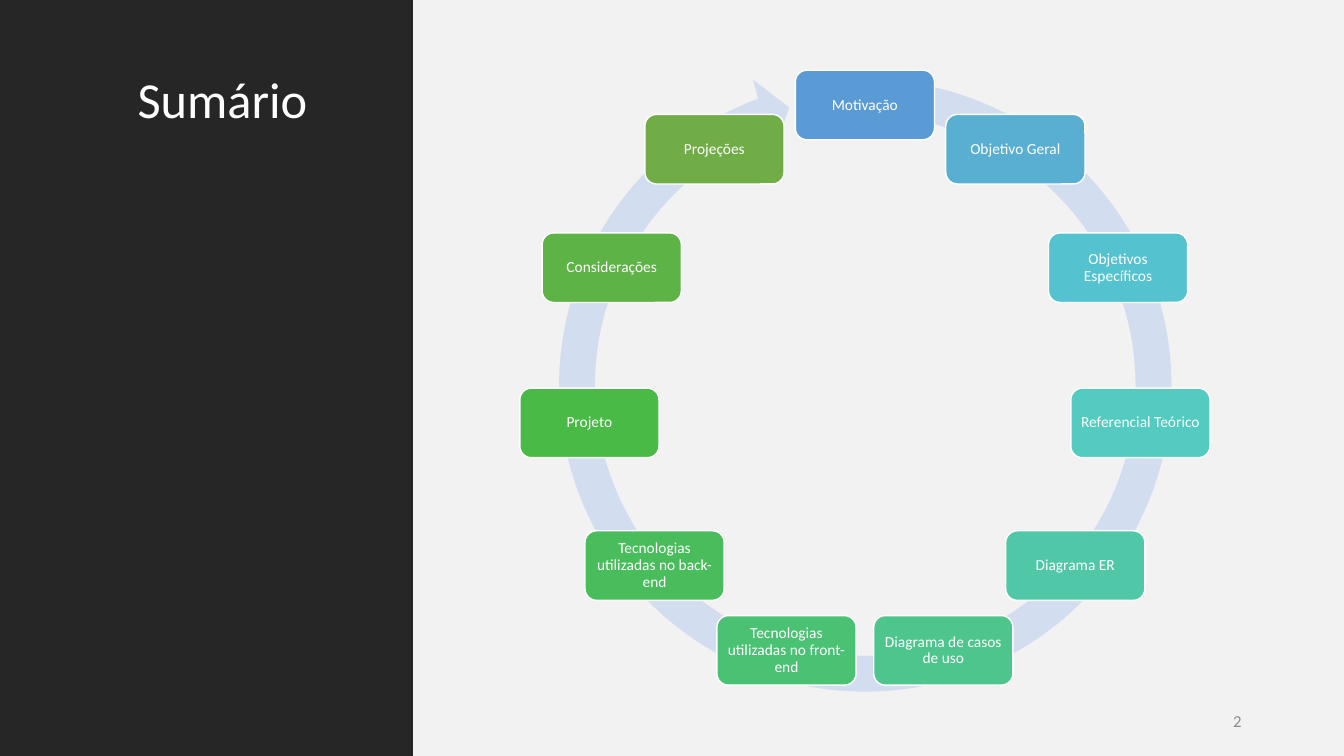
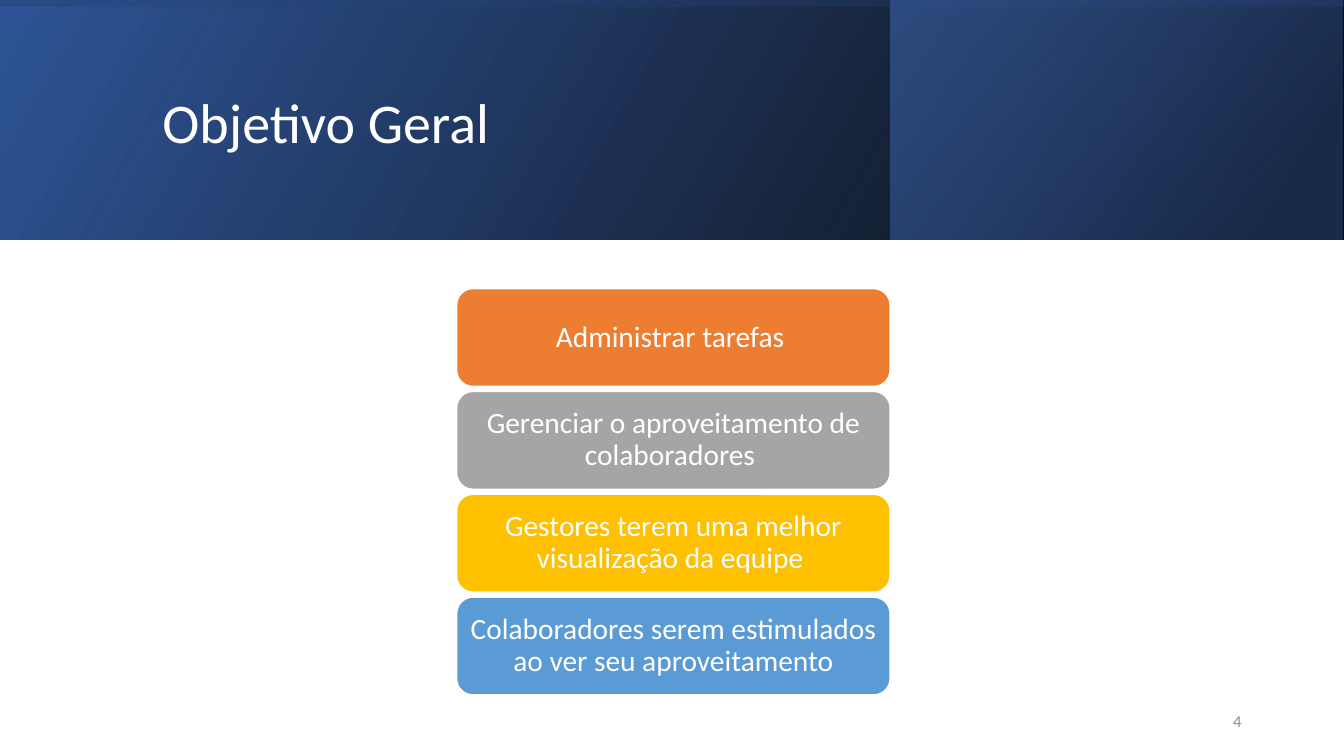
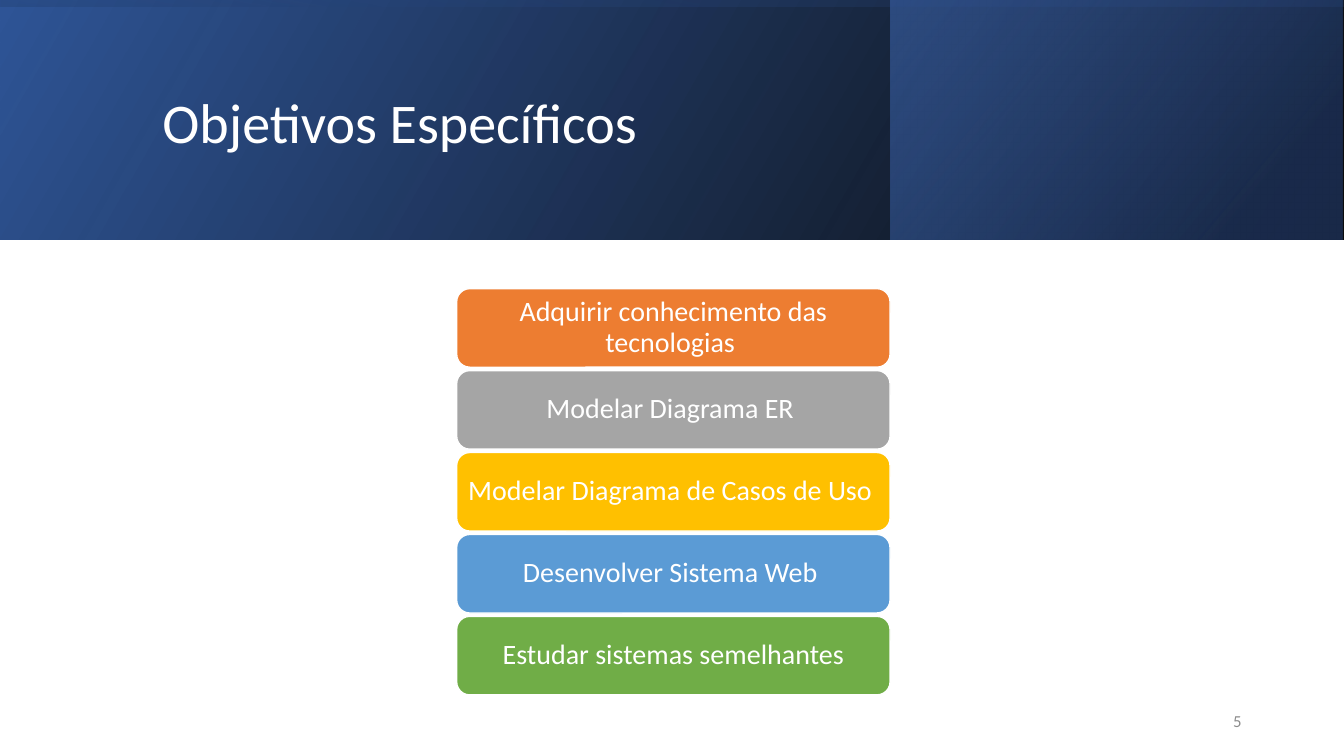
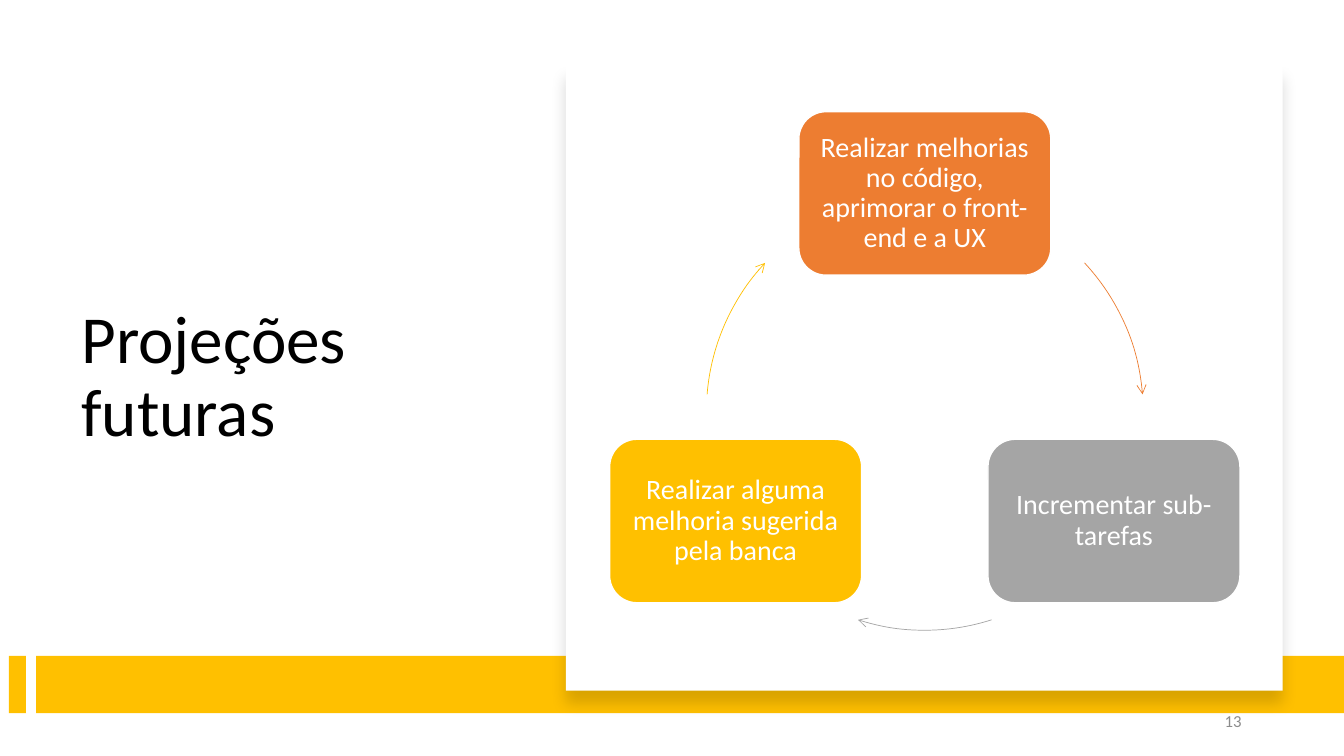
from dataclasses import dataclass
from math import cos, radians, sin

from lxml.etree import SubElement
from pptx import Presentation
from pptx.dml.color import RGBColor
from pptx.enum.shapes import MSO_SHAPE
from pptx.enum.text import MSO_ANCHOR, PP_ALIGN
from pptx.oxml import parse_xml
from pptx.oxml.ns import nsdecls, qn
from pptx.util import Pt


@dataclass(frozen=True)
class Theme:
    font: str = "Calibri"
    white: str = "FFFFFF"
    black: str = "000000"
    dark: str = "262626"
    pale: str = "F2F2F2"
    ring: str = "D2DEEF"
    grey: str = "8C8C8C"
    orange: str = "ED7D31"
    silver: str = "A5A5A5"
    gold: str = "FFC000"
    blue: str = "5B9BD5"
    green: str = "70AD47"
    deep_blue: str = "2F5597"
    navy: str = "203864"
    royal: str = "4472C4"
    number_size: float = 12
    topic_size: float = 11
    goal_size: float = 21
    step_size: float = 20
    side_title_size: float = 36
    band_title_size: float = 40
    big_title_size: float = 48


THEME = Theme()
WIDTH, HEIGHT = 960, 540
BAND_HEIGHT = 171


# Text
def write(shape, text, size, color, align=PP_ALIGN.LEFT,
          anchor=MSO_ANCHOR.MIDDLE, inset=(7.2, 3.6), spacing=0.9):
    frame = shape.text_frame
    frame.text = text
    frame.word_wrap = True
    frame.vertical_anchor = anchor
    frame.margin_left = frame.margin_right = Pt(inset[0])
    frame.margin_top = frame.margin_bottom = Pt(inset[1])
    for paragraph in frame.paragraphs:
        paragraph.alignment = align
        paragraph.line_spacing = spacing
        for run in paragraph.runs:
            run.font.name = THEME.font
            run.font.size = Pt(size)
            run.font.color.rgb = RGBColor.from_string(color)


def add_text(slide, box, text, size, color, **style):
    write(slide.shapes.add_textbox(*map(Pt, box)), text, size, color, **style)


def add_number(slide, number):
    add_text(slide, (678, 500.5, 216, 28.8), str(number), THEME.number_size,
             THEME.grey, align=PP_ALIGN.RIGHT, spacing=1.0)


# Shapes
def add_shape(slide, kind, box, fill=None, line=None, line_width=1):
    shape = slide.shapes.add_shape(kind, *map(Pt, box))
    shape.shadow.inherit = False
    if fill:
        shape.fill.solid()
        shape.fill.fore_color.rgb = RGBColor.from_string(fill)
    else:
        shape.fill.background()
    if line:
        shape.line.color.rgb = RGBColor.from_string(line)
        shape.line.width = Pt(line_width)
    else:
        shape.line.fill.background()
    return shape


def add_card(slide, box, text, fill, size, inset):
    card = add_shape(slide, MSO_SHAPE.ROUNDED_RECTANGLE, box, fill, THEME.white)
    write(card, text, size, THEME.white, align=PP_ALIGN.CENTER, inset=inset)


def add_gradient(slide, box, stops, angle, rotation=0):
    """Mirrored rectangle; stops are (position %, colour, opacity %)."""
    panel = add_shape(slide, MSO_SHAPE.RECTANGLE, box)
    panel.rotation = rotation
    properties = panel._element.spPr
    properties.find(qn("a:xfrm")).set("flipH", "1")
    marks = "".join(
        f'<a:gs pos="{position * 1000}"><a:srgbClr val="{color}">'
        f'<a:alpha val="{opacity * 1000}"/></a:srgbClr></a:gs>'
        for position, color, opacity in stops)
    gradient = parse_xml(
        f'<a:gradFill {nsdecls("a")} rotWithShape="1"><a:gsLst>{marks}</a:gsLst>'
        f'<a:lin ang="{angle * 60000}" scaled="0"/></a:gradFill>')
    properties.replace(properties.find(qn("a:noFill")), gradient)


def add_soft_shadow(shape):
    effects = shape._element.spPr.find(qn("a:effectLst"))
    shadow = SubElement(effects, qn("a:outerShdw"), blurRad=str(Pt(11)),
                        dist=str(Pt(10)), dir="5400000", algn="t", rotWithShape="0")
    color = SubElement(shadow, qn("a:srgbClr"), val=THEME.black)
    SubElement(color, qn("a:alpha"), val="15000")


def add_arc_arrow(slide, center, radius, start, end, color):
    """Thin clockwise arc, angles in degrees from the right."""
    box = (center[0] - radius, center[1] - radius, 2 * radius, 2 * radius)
    arc = add_shape(slide, MSO_SHAPE.ARC, box, line=color, line_width=0.5)
    for index, angle in enumerate((start, end)):
        arc.adjustments[index] = angle * 0.6
    SubElement(arc.line._get_or_add_ln(), qn("a:tailEnd"), type="arrow")


# Arrangements
def add_card_ring(slide, cards, center, radius, card_size, size, inset):
    width, height = card_size
    for index, (text, fill) in enumerate(cards):
        angle = radians(360 * index / len(cards) - 90)
        left = center[0] + radius * cos(angle) - width / 2
        top = center[1] + radius * sin(angle) - height / 2
        add_card(slide, (left, top, width, height), text, fill, size, inset)


def add_card_stack(slide, cards, size, gap):
    top, total = 206.2, 290.2
    height = (total - gap * (len(cards) - 1)) / len(cards)
    for index, (text, fill) in enumerate(cards):
        box = (326.2, top + index * (height + gap), 309.6, height)
        add_card(slide, box, text, fill, size, (5.5, 3))


# Slides
def build_summary(slide):
    add_shape(slide, MSO_SHAPE.RECTANGLE, (294.5, 0, WIDTH - 294.5, HEIGHT), THEME.pale)
    add_shape(slide, MSO_SHAPE.RECTANGLE, (0, 0, 295, HEIGHT), THEME.dark)
    add_text(slide, (91.2, 49.9, 172.8, 439.2), "Sumário", THEME.side_title_size,
             THEME.white, anchor=MSO_ANCHOR.TOP)
    ring = add_shape(slide, MSO_SHAPE.CIRCULAR_ARROW, (385.2, 42.5, 465.8, 465.8),
                     THEME.ring)
    for index, percent in enumerate((5.5, 330.7, 14952, 16704.1, 5.8)):
        ring.adjustments[index] = percent / 100
    topics = [
        ("Motivação", THEME.blue),
        ("Objetivo Geral", "58AFD2"),
        ("Objetivos Específicos", "55C3CF"),
        ("Referencial Teórico", "53CBC1"),
        ("Diagrama ER", "50C8A7"),
        ("Diagrama de casos de uso", "4DC58D"),
        ("Tecnologias utilizadas no front-end", "4BC174"),
        ("Tecnologias utilizadas no back-end", "49BD5B"),
        ("Projeto", "4ABA46"),
        ("Considerações", "5EB347"),
        ("Projeções", THEME.green),
    ]
    add_card_ring(slide, topics, (617.8, 273.8), 198.8, (99.4, 49.7),
                  THEME.topic_size, (3.6, 3.6))


def build_goals(slide, title, goals, size, gap):
    # Layered gradient band
    add_gradient(slide, (0, 0, WIDTH, BAND_HEIGHT),
                 [(0, THEME.black, 96), (100, THEME.deep_blue, 100)], 330)
    add_gradient(slide, (636, 0, 323, BAND_HEIGHT),
                 [(19, THEME.navy, 68), (100, THEME.royal, 48)], 320)
    offset = (WIDTH - BAND_HEIGHT) / 2
    add_gradient(slide, (offset, -offset, BAND_HEIGHT, WIDTH),
                 [(23, THEME.deep_blue, 16), (99, THEME.black, 45)], 350, 270)
    add_text(slide, (109, 27.4, 765, 123.8), title, THEME.band_title_size, THEME.white)
    fills = (THEME.orange, THEME.silver, THEME.gold, THEME.blue, THEME.green)
    add_card_stack(slide, list(zip(goals, fills)), size, gap)


def build_projections(slide):
    add_text(slide, (51.1, 86.4, 298.8, 367.2), "Projeções futuras",
             THEME.big_title_size, THEME.black)
    # Gold footer bar and white panel
    for left, width in ((6.4, 12.2), (25.8, WIDTH - 25.8)):
        add_shape(slide, MSO_SHAPE.RECTANGLE, (left, 468.5, width, 41), THEME.gold)
    panel = add_shape(slide, MSO_SHAPE.RECTANGLE, (404.2, 46.1, 512, 447.2), THEME.white)
    add_soft_shadow(panel)
    # Improvement cycle
    center, radius = (660.6, 294.2), 156
    steps = [
        ("Realizar melhorias no código, aprimorar o front-end e a UX", THEME.orange),
        ("Incrementar sub-tarefas", THEME.silver),
        ("Realizar alguma melhoria sugerida pela banca", THEME.gold),
    ]
    add_card_ring(slide, steps, center, radius, (180, 116.8),
                  THEME.step_size, (5.8, 5.8))
    sweeps = ((317, 355.4), (72.2, 107.8), (184.6, 223))
    for (_, color), (start, end) in zip(steps, sweeps):
        add_arc_arrow(slide, center, radius, start, end, color)


def main():
    deck = Presentation()
    deck.slide_width, deck.slide_height = Pt(WIDTH), Pt(HEIGHT)
    general = [
        "Administrar tarefas ",
        "Gerenciar o aproveitamento de colaboradores ",
        "Gestores terem uma melhor visualização da equipe ",
        "Colaboradores serem estimulados ao ver seu aproveitamento",
    ]
    specific = [
        "Adquirir conhecimento das tecnologias ",
        "Modelar Diagrama ER ",
        "Modelar Diagrama de Casos de Uso ",
        "Desenvolver Sistema Web ",
        "Estudar sistemas semelhantes",
    ]
    pages = [
        (2, build_summary, ()),
        (4, build_goals, ("Objetivo Geral", general, THEME.goal_size, 3.6)),
        (5, build_goals, ("Objetivos Específicos", specific, THEME.step_size, 2.4)),
        (13, build_projections, ()),
    ]
    for number, build, content in pages:
        slide = deck.slides.add_slide(deck.slide_layouts[6])
        build(slide, *content)
        add_number(slide, number)
    deck.save("out.pptx")


if __name__ == "__main__":
    main()
